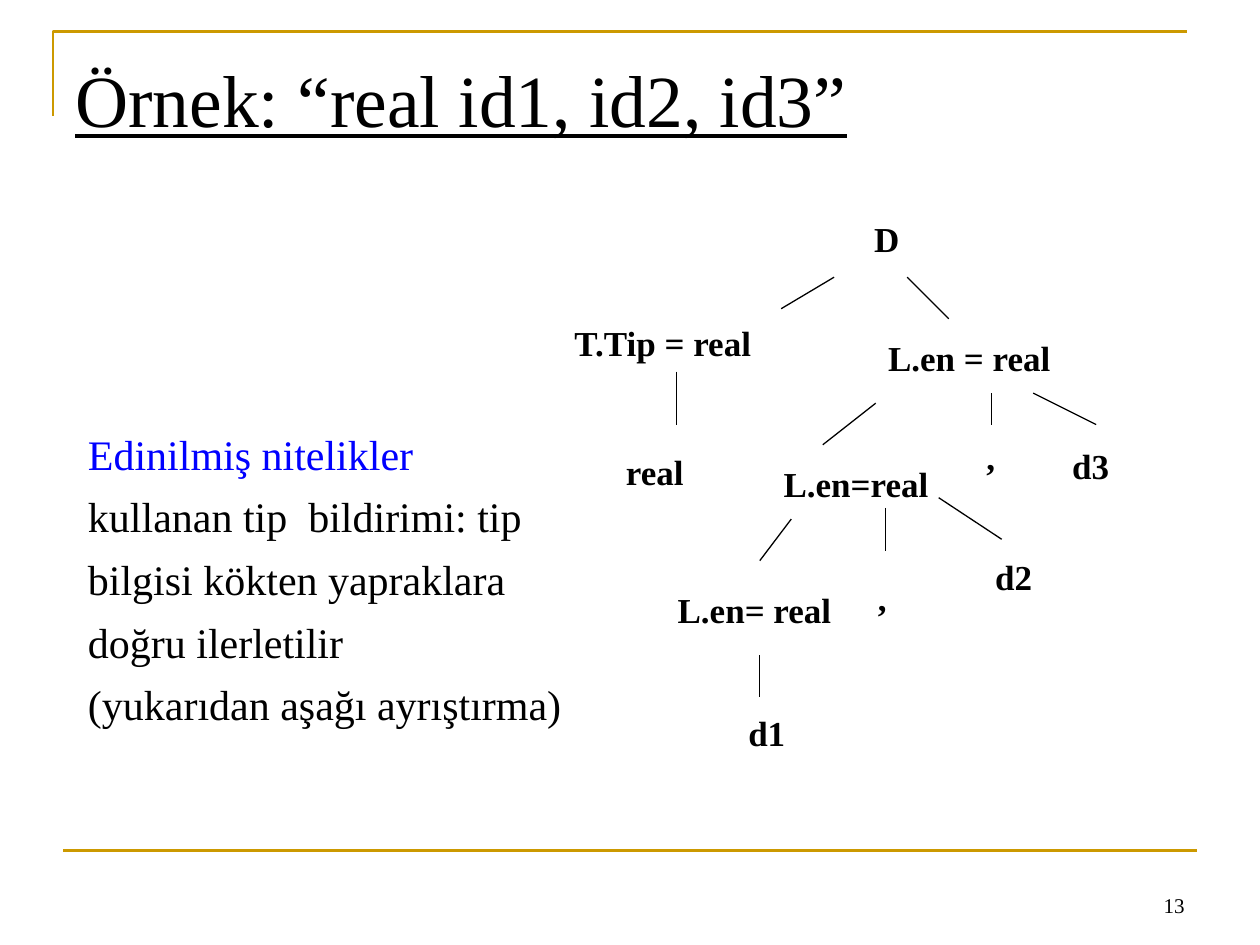
from lxml import etree
from pptx import Presentation
from pptx import util as u
from pptx.dml.color import RGBColor
from pptx.enum import shapes, text
from pptx.oxml.ns import qn

BLACK = RGBColor(0x00, 0x00, 0x00)
BLUE = RGBColor(0x00, 0x00, 0xFF)
GOLD = RGBColor(0xCC, 0x99, 0x00)

# Label, left, top, width
NODES = [
    ("D", 6.84, 1.68, 0.7),
    ("T.Tip = real", 4.46, 2.5, 2),
    ("real", 4.87, 3.53, 1),
    ("L.en = real", 6.95, 2.62, 1.83),
    ("L.en=real", 6.12, 3.62, 1.42),
    ("L.en= real", 5.28, 4.62, 1.5),
    ("d1", 5.84, 5.6, 1.25),
    (",", 6.87, 4.53, 0.5),
    ("d2", 7.8, 4.36, 1),
    (",", 7.73, 3.41, 0.33),
    ("d3", 8.41, 3.48, 0.75),
]
# Start x, start y, end x, end y
BRANCHES = [
    (6.62, 2.2, 6.2, 2.45),
    (7.2, 2.2, 7.53, 2.53),
    (5.37, 2.95, 5.37, 3.37),
    (6.95, 3.2, 6.53, 3.53),
    (7.87, 3.12, 7.87, 3.37),
    (8.2, 3.12, 8.7, 3.37),
    (6.28, 4.12, 6.03, 4.45),
    (7.03, 4.03, 7.03, 4.37),
    (7.45, 3.95, 7.95, 4.28),
    (6.03, 5.2, 6.03, 5.53),
]
EXPLANATION = [
    ("Edinilmiş nitelikler", BLUE),
    ("kullanan tip  bildirimi: tip", BLACK),
    ("bilgisi kökten yapraklara", BLACK),
    ("doğru ilerletilir", BLACK),
    ("(yukarıdan aşağı ayrıştırma)", BLACK),
]


class SlideWriter:
    font_name = "Times New Roman"

    def __init__(self, page):
        self.page = page

    def text(self, lines, left, top, width, height, gap=0, inset_top=0.05,
             anchor=text.MSO_ANCHOR.TOP, align=text.PP_ALIGN.LEFT, **font):
        """Add a text box with one paragraph per (wording, colour) line."""
        box = self.page.shapes.add_textbox(*map(u.Inches, (left, top, width, height)))
        frame = box.text_frame
        layout = {"word_wrap": True, "vertical_anchor": anchor,
                  "margin_top": u.Inches(inset_top)}
        for name, value in layout.items():
            setattr(frame, name, value)
        for index, (wording, color) in enumerate(lines):
            para = frame.add_paragraph() if index else frame.paragraphs[0]
            para.alignment = align
            if index:
                para.space_before = u.Pt(gap)
            span = para.add_run()
            span.text = wording
            for name, value in {"name": self.font_name, **font}.items():
                setattr(span.font, name, value)
            span.font.color.rgb = color

    def line(self, x1, y1, x2, y2, color=BLACK, width=0.75):
        connector = self.page.shapes.add_connector(
            shapes.MSO_CONNECTOR.STRAIGHT, *map(u.Inches, (x1, y1, x2, y2)))
        connector.line.color.rgb = color
        connector.line.width = u.Pt(width)
        etree.SubElement(connector._element.spPr, qn("a:effectLst"))

    def open_outline(self, points, color, width):
        start, *rest = [tuple(map(u.Inches, point)) for point in points]
        builder = self.page.shapes.build_freeform(*start)
        builder.add_line_segments(rest, close=False)
        outline = builder.convert_to_shape()
        outline.shadow.inherit = False
        outline.fill.background()
        outline.line.color.rgb = color
        outline.line.width = u.Pt(width)


def main():
    deck = Presentation()
    deck.slide_width, deck.slide_height = u.Inches(10), u.Inches(7.5)
    writer = SlideWriter(deck.slides.add_slide(deck.slide_layouts[6]))

    writer.open_outline([(0.42, 0.92), (0.42, 0.25), (9.42, 0.25)], GOLD, 1.5)
    writer.line(0.5, 6.75, 9.5, 6.75, GOLD, 1.5)
    writer.text([("13", BLACK)], 7.17, 6.83, 2.33, 0.5, size=u.Pt(12),
                anchor=text.MSO_ANCHOR.BOTTOM, align=text.PP_ALIGN.RIGHT)
    writer.text([("Örnek: “real id1, id2, id3”", BLACK)], 0.5, 0.3, 9, 1.25,
                inset_top=0.13, size=u.Pt(42), underline=True)

    for label, left, top, width in NODES:
        writer.text([(label, BLACK)], left, top, width, 0.44,
                    size=u.Pt(20), bold=True)
    for branch in BRANCHES:
        writer.line(*branch)
    writer.text(EXPLANATION, 0.6, 3.35, 4.04, 2.92, gap=7, size=u.Pt(24))

    deck.save("out.pptx")


if __name__ == "__main__":
    main()
